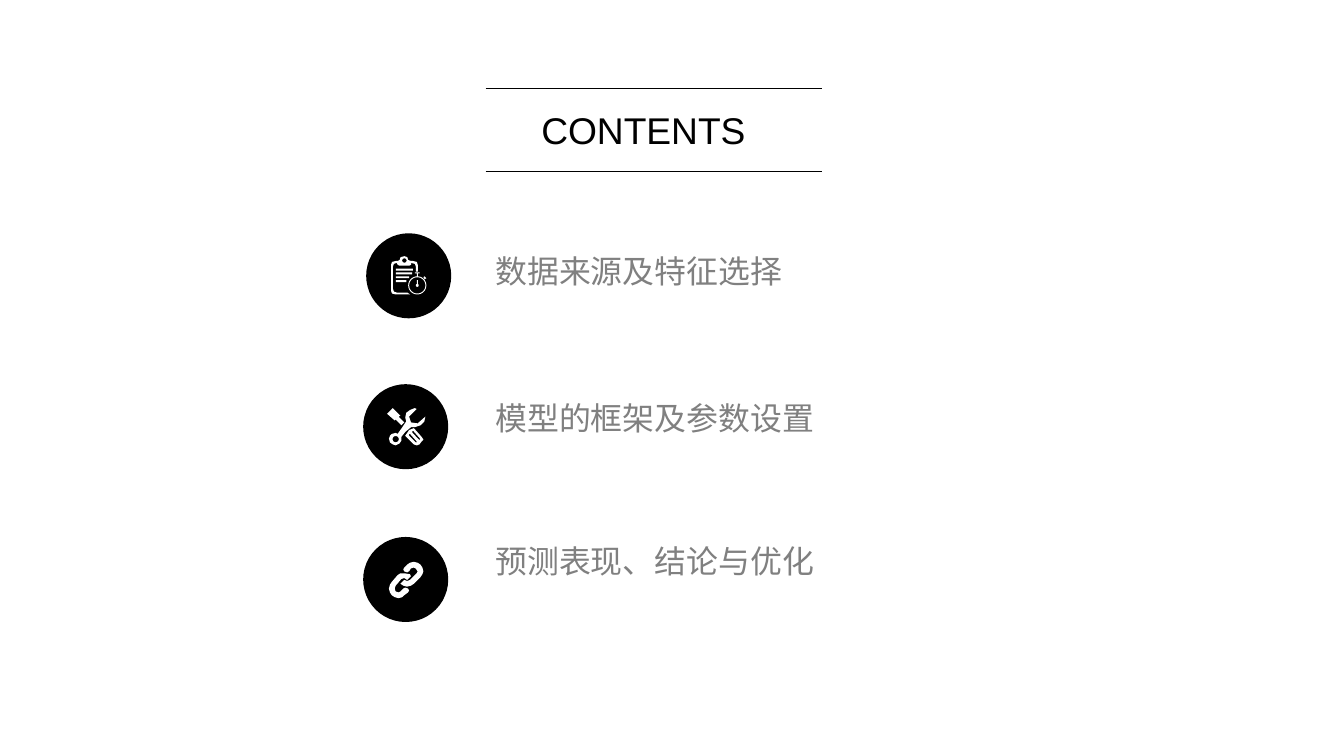
from math import cos, pi, sin

from lxml.etree import SubElement
from pptx import Presentation
from pptx.dml.color import RGBColor
from pptx.enum.shapes import MSO_CONNECTOR as CONN, MSO_SHAPE as SHAPE
from pptx.enum.text import MSO_ANCHOR as ANCHOR, MSO_AUTO_SIZE as AUTO, PP_ALIGN as ALIGN
from pptx.oxml.ns import qn
from pptx.util import Cm, Pt

COLORS = {"ink": "000000", "icon": "FFFFFF", "item": "808080"}
TITLE_FONT, ITEM_FONT = "Arial", "Noto Sans CJK SC"
DISC = 2.26
RULE_LEFT, RULE_RIGHT = 12.9, 21.84
FINE = 10  # freeform steps per icon unit
ICON_UNIT = 0.0254

# Text, disc left, disc top, space before the paragraph in points
ITEMS = [
    ("数据来源及特征选择", 9.73, 6.2, 0),
    ("模型的框架及参数设置", 9.65, 10.21, 82),
    ("预测表现、结论与优化", 9.65, 14.27, 79),
]


def rgb(name):
    return RGBColor.from_string(COLORS[name])


def circle(cx, cy, r, steps=32):
    return [(cx + r * cos(2 * pi * i / steps), cy + r * sin(2 * pi * i / steps))
            for i in range(steps)]


def rect(left, top, right, bottom):
    return [(left, top), (right, top), (right, bottom), (left, bottom)]


def clipboard_icon():
    board = [(52, 40), (52, 35), (51, 32), (47, 31), (47, 33), (45, 34), (35, 34),
             (33, 33), (32, 31), (29, 32), (28, 35), (28, 58), (29, 61), (32, 62),
             (43, 62), (46, 64), (31, 64), (27, 63), (26, 60), (26, 33), (27, 30),
             (31, 29), (33, 29), (35, 28), (36, 25), (40, 24), (43, 25), (44, 28),
             (47, 29), (49, 29), (53, 30), (54, 33), (54, 40)]
    text_lines = [rect(31, 37 + 4 * i, right, 39 + 4 * i)
                  for i, right in enumerate((49, 48, 45, 42))]
    stopwatch = [circle(53.5, 54.5, 9.5), circle(53.5, 54.5, 8.5),
                 circle(53.5, 54.5, 1.5), rect(53, 49, 54, 53),
                 rect(51, 41, 56, 42), rect(53, 42, 54, 45),
                 [(60, 46), (61, 45), (63, 47), (61, 48)]]
    return [board, circle(40, 28.5, 2.3), *text_lines, *stopwatch]


def tools_icon():
    wrench = [(50, 45), (54, 45), (60, 43), (64, 39), (65, 34), (57, 41), (50, 40),
              (48, 34), (56, 26), (54, 25), (49, 27), (45, 30), (44, 35), (45, 39),
              (41, 45), (36, 52), (34, 51), (30, 52), (28, 54), (27, 57), (28, 61),
              (31, 63), (34, 64), (38, 62), (40, 59), (40, 55), (44, 50)]
    screwdriver = [(34, 37), (40, 43), (43, 40), (37, 34), (39, 33), (31, 25),
                   (25, 31), (33, 38)]
    handle = [(53, 46), (48, 48), (44, 54), (53, 63), (56, 64), (59, 63), (61, 60),
              (63, 58), (61, 55)]
    slot = [(56, 61), (55, 61), (48, 54), (48, 52), (49, 52), (56, 60)]
    upper_slot = [(x + 3.5, y - 3) for x, y in slot]
    return [wrench, circle(34, 57.5, 3.3), screwdriver, handle, slot, upper_slot]


def chain_icon():
    upper = [(60, 29), (57, 27), (53, 26), (49, 27), (46, 29), (43, 32), (42, 34),
             (43, 36), (46, 37), (48, 36), (50, 33), (53, 32), (55, 33), (57, 36),
             (56, 38), (49, 45), (46, 46), (43, 45), (39, 49), (42, 51), (46, 52),
             (50, 51), (53, 49), (60, 42), (62, 39), (63, 36), (62, 32)]
    lower = [(42, 54), (39, 57), (37, 58), (34, 57), (33, 54), (34, 51), (40, 44),
             (43, 43), (46, 45), (50, 41), (49, 39), (43, 38), (39, 38), (36, 40),
             (30, 47), (28, 50), (27, 54), (28, 58), (30, 61), (33, 63), (37, 64),
             (41, 63), (43, 61), (47, 58), (48, 56), (47, 54), (44, 53)]
    return [upper, lower]


def paint(shape, color):
    shape.shadow.inherit = False
    shape.fill.solid()
    shape.fill.fore_color.rgb = rgb(color)
    shape.line.fill.background()


def add_icon(s, left, top, contours):
    """Draw a black disc with a white icon; inner contours become holes."""
    disc = s.shapes.add_shape(SHAPE.OVAL, Cm(left), Cm(top), Cm(DISC), Cm(DISC))
    paint(disc, "ink")
    builder = s.shapes.build_freeform(scale=Cm(ICON_UNIT) / FINE)
    for contour in contours:
        points = [(x * FINE, y * FINE) for x, y in contour]
        builder.move_to(*points[0])
        builder.add_line_segments(points[1:], close=True)
    paint(builder.convert_to_shape(Cm(left), Cm(top)), "icon")


def add_rule(s, y):
    line = s.shapes.add_connector(CONN.STRAIGHT, Cm(RULE_LEFT), Cm(y), Cm(RULE_RIGHT), Cm(y))
    line.line.color.rgb = rgb("ink")
    line.line.width = Pt(0.5)
    SubElement(line._element.spPr, qn("a:effectLst"))


def place(sp, left, top, width, height, anchor):
    """Move a placeholder and strip its margins; return its text frame."""
    sp.left, sp.top, sp.width, sp.height = Cm(left), Cm(top), Cm(width), Cm(height)
    tf = sp.text_frame
    tf.margin_left = tf.margin_top = tf.margin_right = tf.margin_bottom = 0
    tf.auto_size = AUTO.NONE
    tf.vertical_anchor = anchor
    return tf


def format_run(r, font, size, color):
    r.font.name = font
    r.font.size = Pt(size)
    r.font.color.rgb = rgb(color)
    SubElement(r.font._element, qn("a:ea"), typeface=font)


def fill_title(sp):
    tf = place(sp, 14.35, 2.84, 5.49, 1.19, ANCHOR.MIDDLE)
    tf.word_wrap = False
    tf.text = "CONTENTS"
    p = tf.paragraphs[0]
    p.alignment = ALIGN.CENTER
    format_run(p.runs[0], TITLE_FONT, 28, "ink")


def fill_list(sp):
    tf = place(sp, 13.16, 6.68, 12.17, 9.4, ANCHOR.TOP)
    tf.text = "\n".join(text for text, *_ in ITEMS)
    for p, (*_, space) in zip(tf.paragraphs, ITEMS):
        p.alignment = ALIGN.LEFT
        p.space_before = Pt(space)
        pPr = p._p.get_or_add_pPr()
        pPr.set("marL", "0")
        pPr.set("indent", "0")
        SubElement(pPr, qn("a:buNone"))
        format_run(p.runs[0], ITEM_FONT, 24, "item")


def main():
    prs = Presentation()
    prs.slide_width, prs.slide_height = Cm(35.71), Cm(20.09)
    s = prs.slides.add_slide(prs.slide_layouts[1])
    title, body = s.placeholders
    fill_title(title)
    fill_list(body)
    for y in (2.34, 4.55):
        add_rule(s, y)
    icons = (clipboard_icon(), tools_icon(), chain_icon())
    for (_, left, top, _), contours in zip(ITEMS, icons):
        add_icon(s, left, top, contours)
    prs.save("out.pptx")


if __name__ == "__main__":
    main()
